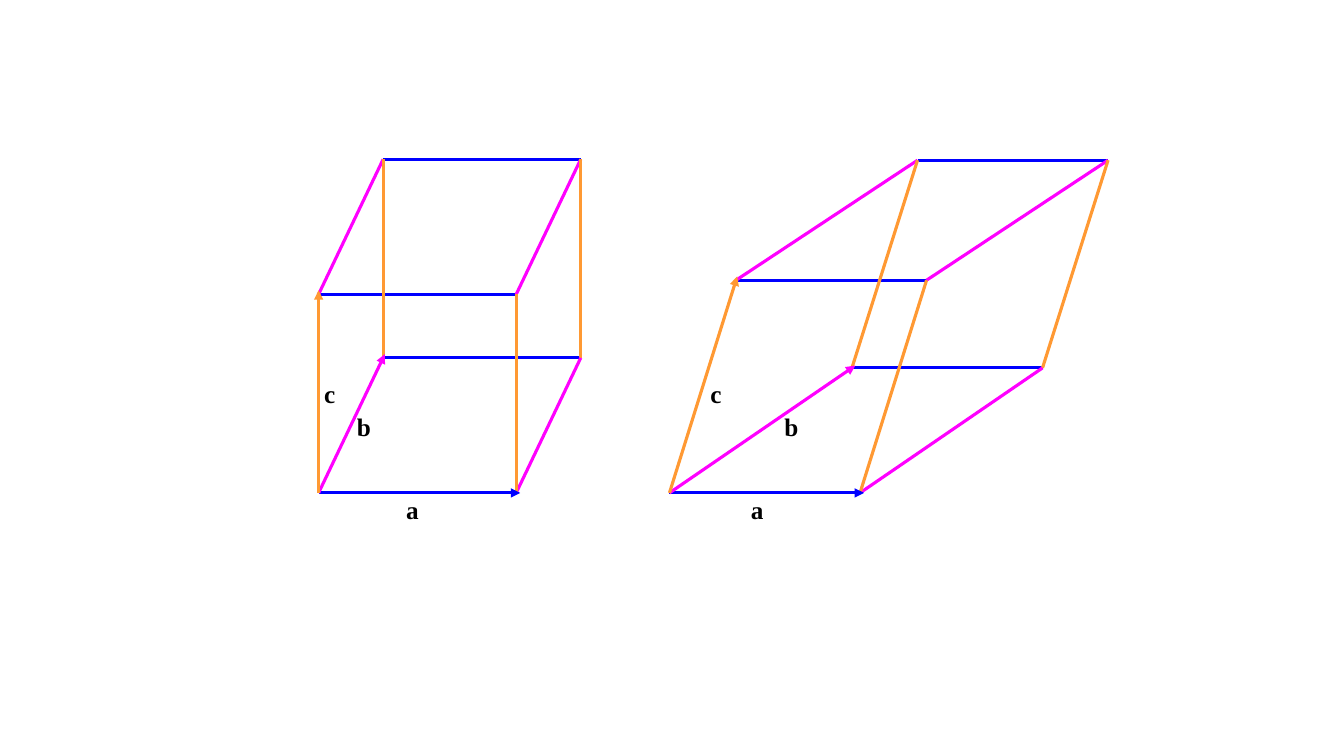
"""Draws two unit cells, one upright and one skewed, with their a, b and c vectors."""
from dataclasses import dataclass
from math import hypot

from lxml import etree
from pptx import Presentation
from pptx.dml.color import RGBColor
from pptx.enum.shapes import MSO_CONNECTOR
from pptx.enum.text import MSO_AUTO_SIZE, PP_ALIGN
from pptx.oxml.ns import qn
from pptx.util import Inches, Pt

STRAIGHT = MSO_CONNECTOR.STRAIGHT
CENTER = PP_ALIGN.CENTER
FIT_SHAPE = MSO_AUTO_SIZE.SHAPE_TO_FIT_TEXT
BLANK_LAYOUT = 6
LABEL_WIDTH, LABEL_HEIGHT = 0.58, 0.4
ARROW_OVERSHOOT = 0.04


@dataclass(frozen=True)
class Theme:
    """Colours, font and sizes of the slide."""
    axis_a: RGBColor = RGBColor(0x00, 0x00, 0xFF)
    axis_b: RGBColor = RGBColor(0xFF, 0x00, 0xFF)
    axis_c: RGBColor = RGBColor(0xFF, 0x99, 0x33)
    text: RGBColor = RGBColor(0x00, 0x00, 0x00)
    font: str = "Times New Roman"
    label_size: Pt = Pt(18)
    line_width: Pt = Pt(2.25)


@dataclass(frozen=True)
class UnitCell:
    """Left-hand corners, width along a, and label positions of one cell."""
    floor_front: tuple
    floor_back: tuple
    roof_front: tuple
    roof_back: tuple
    width: float
    labels: dict


CELLS = (
    UnitCell((3.16, 4.89), (3.8, 3.55), (3.16, 2.92), (3.8, 1.58), 1.96,
             {"a": (3.8, 4.85), "b": (3.32, 4.03), "c": (2.98, 3.7)}),
    UnitCell((6.64, 4.89), (8.45, 3.65), (7.3, 2.78), (9.1, 1.59), 1.89,
             {"a": (7.22, 4.85), "b": (7.56, 4.03), "c": (6.81, 3.7)}),
)


class CellDrawer:
    """Draws unit cells on a slide in one style."""

    def __init__(self, slide, theme):
        """Keep the slide and the theme."""
        self.slide = slide
        self.theme = theme

    def edge(self, group, start, end, color, arrow=False):
        """Add a straight edge, with an arrowhead at its end if asked."""
        line = group.shapes.add_connector(
            STRAIGHT, *(Inches(value) for value in (*start, *end)))
        line.line.color.rgb = color
        line.line.width = self.theme.line_width
        properties = line._element.spPr
        if arrow:
            outline = properties.find(qn("a:ln"))
            etree.SubElement(outline, qn("a:tailEnd"), type="triangle")
        etree.SubElement(properties, qn("a:effectLst"))

    def vector(self, group, start, end, color):
        """Add an arrow that reaches slightly past its end corner."""
        run, rise = end[0] - start[0], end[1] - start[1]
        scale = 1 + ARROW_OVERSHOOT / hypot(run, rise)
        tip = (start[0] + run * scale, start[1] + rise * scale)
        self.edge(group, start, tip, color, arrow=True)

    def label(self, group, text, position):
        """Add a bold centred axis label."""
        box = group.shapes.add_textbox(
            *(Inches(value) for value in (*position, LABEL_WIDTH, LABEL_HEIGHT)))
        frame = box.text_frame
        frame.word_wrap = True
        frame.auto_size = FIT_SHAPE
        paragraph = frame.paragraphs[0]
        paragraph.text = text
        paragraph.alignment = CENTER
        paragraph.font.name = self.theme.font
        paragraph.font.size = self.theme.label_size
        paragraph.font.bold = True
        paragraph.font.color.rgb = self.theme.text

    def cell(self, cell):
        """Add the edges, labels and vectors of one cell as a group."""
        group = self.slide.shapes.add_group_shape()
        theme = self.theme

        def right(corner):
            """Return the corner shifted along a."""
            return corner[0] + cell.width, corner[1]

        vectors = (
            (cell.floor_front, right(cell.floor_front), theme.axis_a),
            (cell.floor_front, cell.floor_back, theme.axis_b),
            (cell.floor_front, cell.roof_front, theme.axis_c),
        )
        left_edges = (
            (cell.roof_front, cell.roof_back, theme.axis_b),
            (cell.floor_back, cell.roof_back, theme.axis_c),
        )
        for corner in (cell.floor_back, cell.roof_front, cell.roof_back):
            self.edge(group, corner, right(corner), theme.axis_a)
        for start, end, color in left_edges:
            self.edge(group, start, end, color)
        for start, end, color in left_edges + vectors[1:]:
            self.edge(group, right(start), right(end), color)
        for text, position in cell.labels.items():
            self.label(group, text, position)
        for start, end, color in vectors:
            self.vector(group, start, end, color)


def main():
    """Build and save the presentation."""
    presentation = Presentation()
    presentation.slide_width = Inches(13.33)
    presentation.slide_height = Inches(7.5)
    slide = presentation.slides.add_slide(presentation.slide_layouts[BLANK_LAYOUT])
    drawer = CellDrawer(slide, Theme())
    for cell in CELLS:
        drawer.cell(cell)
    presentation.save("out.pptx")


if __name__ == "__main__":
    main()
